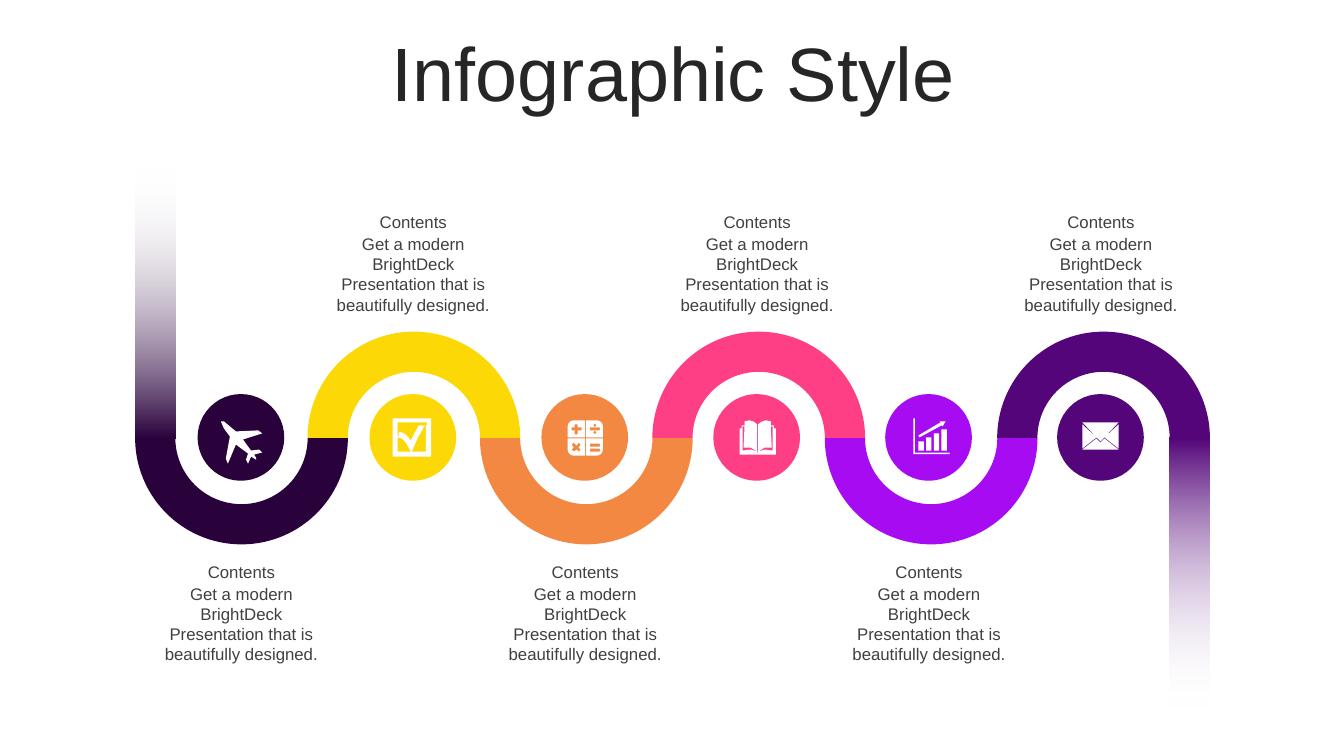
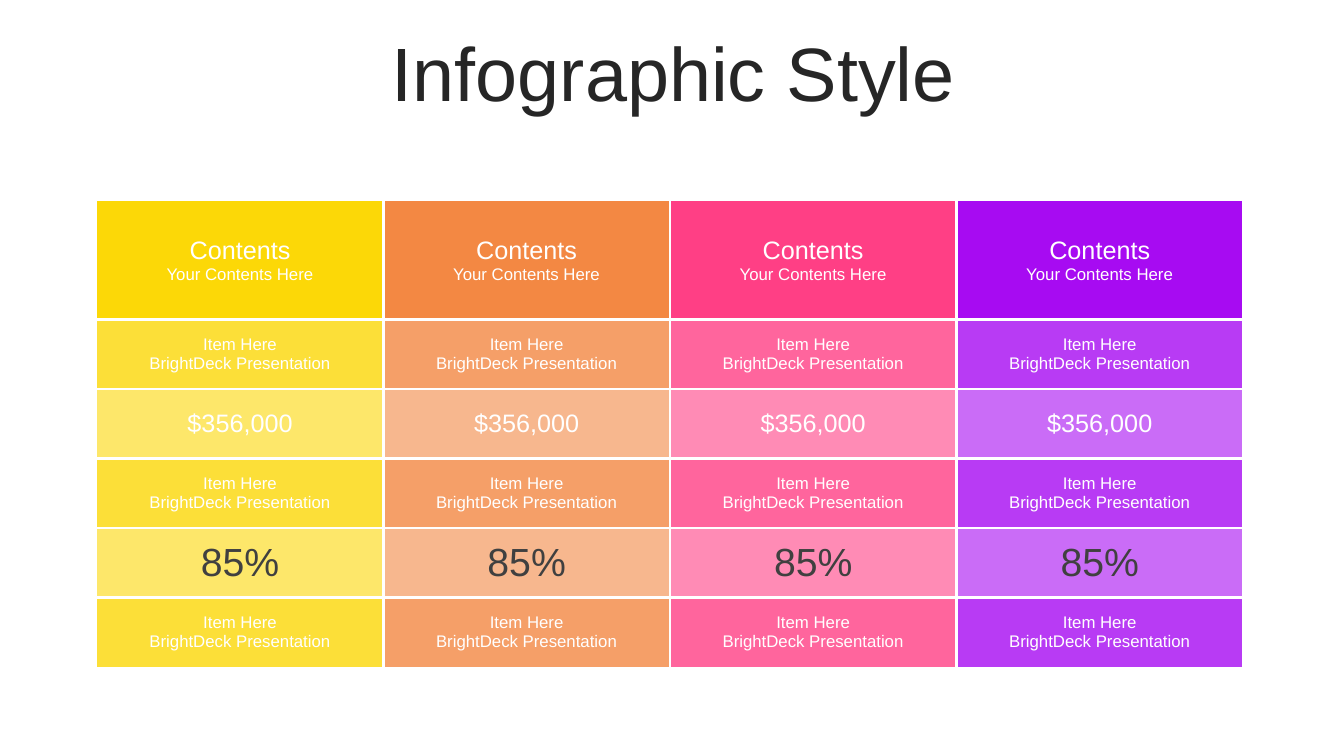
"""Build two infographic slides: a winding six-step path and a four-column table."""
from dataclasses import dataclass

from lxml import etree
from pptx import Presentation
from pptx.dml.color import RGBColor
from pptx.enum.shapes import MSO_SHAPE
from pptx.enum.text import MSO_ANCHOR, MSO_AUTO_SIZE, PP_ALIGN
from pptx.oxml.ns import qn
from pptx.util import Inches, Pt

CENTER = PP_ALIGN.CENTER
MIDDLE = MSO_ANCHOR.MIDDLE
NO_AUTOFIT = MSO_AUTO_SIZE.NONE
ARC = MSO_SHAPE.BLOCK_ARC
OVAL = MSO_SHAPE.OVAL
RECT = MSO_SHAPE.RECTANGLE

FONT = "Arial"
WHITE, TEXT, TITLE = "FFFFFF", "404040", "262626"
NAVY, YELLOW, ORANGE = "29023C", "FCD807", "F38843"
PINK, VIOLET, PURPLE = "FF3F85", "A70BF2", "530579"

ARC_SIZE, ARC_STEP, ARC_LEFT, ARC_TOP = 2.11, 1.71, 1.34, 3.29
DISC_SIZE, DISC_LEFT, DISC_TOP = 0.86, 1.96, 3.91
LABEL_LEFT, LABEL_STEP = 1.46, 1.705
BAR_WIDTH, BAR_HEIGHT = 0.4, 2.69
BODY = "Get a modern BrightDeck Presentation that is beautifully designed."

Contour = list[tuple[float, float]]


@dataclass
class Icon:
    dx: float
    dy: float
    contours: list[Contour]


@dataclass
class Step:
    color: str
    icon: Icon


@dataclass
class Line:
    text: str
    size: int
    color: str = WHITE


@dataclass
class Row:
    height: float
    opacity: int
    lines: list[Line]


def box(left: float, top: float, width: float, height: float) -> Contour:
    right, bottom = left + width, top + height
    return [(left, top), (right, top), (right, bottom), (left, bottom)]


def mirror(contour: Contour, width: float) -> Contour:
    return [(width - x, y) for x, y in contour]


def flip(contour: Contour, height: float) -> Contour:
    return [(x, height - y) for x, y in contour]


def dot(x: float, y: float) -> Contour:
    return [(x - 1.5, y), (x - 1, y - 1), (x, y - 1.5), (x + 1, y - 1),
            (x + 1.5, y), (x + 1, y + 1), (x, y + 1.5), (x - 1, y + 1)]


KEY = [(17, 0), (17, 17), (0, 17), (0, 6), (0.5, 3.7), (1.8, 1.8), (3.7, 0.5), (6, 0)]
PAGE = [(18.4, 4), (22, 1.3), (26, 0), (31, 1), (31, 5), (34, 5), (34, 8),
        (36, 8), (36, 34), (18, 34), (18.4, 31)]
PAGE_EDGE = [(33, 6), (31, 6), (32, 27), (25, 27), (18.4, 31), (25, 29), (33, 30)]
FLAP = [(0, 2), (14, 15), (0, 26)]

PLANE = Icon(0.23, 0.26, [[
    (41, 32), (33, 34), (35, 37), (35, 39), (30, 36), (27, 43), (25, 39), (27, 33),
    (15, 24), (7, 43), (5, 38), (9, 16), (3, 8), (0, 1), (3, 1), (15, 11),
    (37, 10), (41, 13), (22, 19), (30, 30), (38, 29)]])
CHECK = Icon(0.23, 0.24, [box(0, 0, 38, 38), [
    (5, 4), (5, 33), (18, 33), (13, 24), (9, 20), (5, 19), (7, 13), (13, 16), (18, 22),
    (22, 14), (26, 7), (32, 7), (25, 19), (19, 33), (33, 33), (33, 7), (34, 7), (34, 4)]])
CALCULATOR = Icon(0.26, 0.26, [
    KEY, mirror(KEY, 35), flip(KEY, 35), flip(mirror(KEY, 35), 35),
    [(7, 4), (10, 4), (10, 7), (14, 7), (14, 10), (10, 10),
     (10, 14), (7, 14), (7, 10), (4, 10), (4, 7), (7, 7)],
    [(6, 22), (4, 24), (6, 27), (4, 29), (6, 31), (9, 29),
     (11, 31), (13, 29), (11, 27), (13, 24), (11, 22), (9, 25)],
    *(box(22, top, 10, 3) for top in (7, 23, 28)), dot(27, 5), dot(27, 12)])
BOOK = Icon(0.26, 0.26, [PAGE, PAGE_EDGE, mirror(PAGE, 36), mirror(PAGE_EDGE, 36)])
CHART = Icon(0.28, 0.24, [
    *(box(5 + 7.6 * i, 23 - 4 * i, 5.3, 9 + 4 * i) for i in range(4)),
    [(26, 3), (32, 3), (29, 8), (28, 7), (6, 19), (5, 17), (27, 4)],
    [(0, 0), (1.5, 0), (1.5, 34), (36, 34), (36, 35.5), (0, 35.5)]])
MAIL = Icon(0.25, 0.28, [
    [(22, 16), (36, 27), (0, 27), (14, 16), (18, 20)],
    FLAP, mirror(FLAP, 36), [(0, 0), (36, 0), (18, 19)]])

STEPS = [Step(NAVY, PLANE), Step(YELLOW, CHECK), Step(ORANGE, CALCULATOR),
         Step(PINK, BOOK), Step(VIOLET, CHART), Step(PURPLE, MAIL)]

ITEM = Row(0.69, 80, [Line("Item Here", 12), Line("BrightDeck Presentation", 12)])
COLUMNS = [YELLOW, ORANGE, PINK, VIOLET]
ROWS = [
    Row(1.18, 100, [Line("Contents", 18), Line("Your Contents Here", 12)]),
    ITEM,
    Row(0.69, 60, [Line("$356,000", 18)]),
    ITEM,
    Row(0.69, 60, [Line("85%", 28, TEXT)]),
    ITEM,
]


def rgb(color: str) -> RGBColor:
    return RGBColor.from_string(color)


def set_opacity(color_element, percent: int) -> None:
    etree.SubElement(color_element, qn("a:alpha")).set("val", str(percent * 1000))


def write(p, line: Line) -> None:
    p.text = line.text
    p.alignment = CENTER
    p.font.name = FONT
    p.font.size = Pt(line.size)
    p.font.color.rgb = rgb(line.color)


def paint(sp, color: str) -> None:
    sp.shadow.inherit = False
    sp.line.fill.background()
    sp.fill.solid()
    sp.fill.fore_color.rgb = rgb(color)


def add_shape(slide, kind, left: float, top: float, width: float, height: float, color: str):
    sp = slide.shapes.add_shape(kind, Inches(left), Inches(top), Inches(width), Inches(height))
    paint(sp, color)
    return sp


def add_fading_bar(slide, left: float, top: float, color: str, angle: int) -> None:
    sp = add_shape(slide, RECT, left, top, BAR_WIDTH, BAR_HEIGHT, color)
    sp.fill.gradient()
    sp.fill.gradient_angle = angle
    for stop, stop_color in zip(sp.fill.gradient_stops, (color, WHITE)):
        stop.color.rgb = rgb(stop_color)
    set_opacity(list(sp._element.spPr.iter(qn("a:srgbClr")))[-1], 0)


def add_icon(slide, icon: Icon, left: float, top: float) -> None:
    builder = None
    for contour in icon.contours:
        points = [(Inches(x / 100), Inches(y / 100)) for x, y in contour]
        if builder is None:
            builder = slide.shapes.build_freeform(*points[0], scale=1.0)
        else:
            builder.move_to(*points[0])
        builder.add_line_segments(points[1:], close=True)
    paint(builder.convert_to_shape(Inches(left + icon.dx), Inches(top + icon.dy)), WHITE)


def add_label(slide, left: float, top: float, height: float, text: str) -> None:
    tb = slide.shapes.add_textbox(Inches(left), Inches(top), Inches(1.87), Inches(height))
    tf = tb.text_frame
    tf.word_wrap = True
    write(tf.paragraphs[0], Line(text, 12, TEXT))


def add_slide(prs):
    slide = prs.slides.add_slide(prs.slide_layouts[5])
    title = slide.shapes.title
    title.left, title.top = Inches(0.35), Inches(0.37)
    title.width, title.height = Inches(12.66), Inches(0.79)
    tf = title.text_frame
    tf.auto_size = NO_AUTOFIT
    tf.vertical_anchor = MIDDLE
    p = tf.paragraphs[0]
    write(p, Line("Infographic Style", 54, TITLE))
    p.line_spacing = 0.9
    return slide


def build_path_slide(prs) -> None:
    slide = add_slide(prs)
    for i, step in enumerate(STEPS):
        arc = add_shape(slide, ARC, ARC_LEFT + i * ARC_STEP, ARC_TOP, ARC_SIZE, ARC_SIZE, step.color)
        arc.adjustments[2] = 0.189
        arc.rotation = 0 if i % 2 else 180
    add_fading_bar(slide, ARC_LEFT, 1.66, NAVY, 90)
    add_fading_bar(slide, 11.6, 4.34, PURPLE, 270)
    for i, step in enumerate(STEPS):
        offset = i * LABEL_STEP
        left = DISC_LEFT + offset
        add_shape(slide, OVAL, left, DISC_TOP, DISC_SIZE, DISC_SIZE, step.color)
        add_icon(slide, step.icon, left, DISC_TOP)
        top = 2.05 if i % 2 else 5.52
        add_label(slide, LABEL_LEFT + offset, top, 0.3, "Contents")
        add_label(slide, LABEL_LEFT + offset, top + 0.22, 0.91, BODY)


def set_borders(cell, row: int, col: int) -> None:
    outer = {"L": col == 0, "R": col == len(COLUMNS) - 1,
             "T": row == 0, "B": row == len(ROWS) - 1}
    tcPr = cell._tc.get_or_add_tcPr()
    for side, is_outer in outer.items():
        ln = etree.SubElement(tcPr, qn(f"a:ln{side}"))
        ln.set("w", str(Pt(1 if is_outer else 2.25)))
        fill = etree.SubElement(ln, qn("a:solidFill"))
        etree.SubElement(fill, qn("a:srgbClr")).set("val", WHITE)


def fill_cell(cell, row: Row, color: str) -> None:
    cell.fill.solid()
    cell.fill.fore_color.rgb = rgb(color)
    if row.opacity < 100:
        set_opacity(cell._tc.tcPr.find(qn("a:solidFill"))[0], row.opacity)
    cell.vertical_anchor = MIDDLE
    cell.margin_left = cell.margin_right = Inches(0.12)
    tf = cell.text_frame
    for i, line in enumerate(row.lines):
        write(tf.add_paragraph() if i else tf.paragraphs[0], line)


def build_table_slide(prs) -> None:
    slide = add_slide(prs)
    table = slide.shapes.add_table(len(ROWS), len(COLUMNS), Inches(0.96), Inches(1.99),
                                   Inches(11.37), Inches(4.64)).table
    for r, row in enumerate(ROWS):
        table.rows[r].height = Inches(row.height)
        for c, color in enumerate(COLUMNS):
            cell = table.cell(r, c)
            set_borders(cell, r, c)
            fill_cell(cell, row, color)


def main() -> None:
    prs = Presentation()
    prs.slide_width, prs.slide_height = Inches(13.33), Inches(7.5)
    build_path_slide(prs)
    build_table_slide(prs)
    prs.save("out.pptx")


if __name__ == "__main__":
    main()
